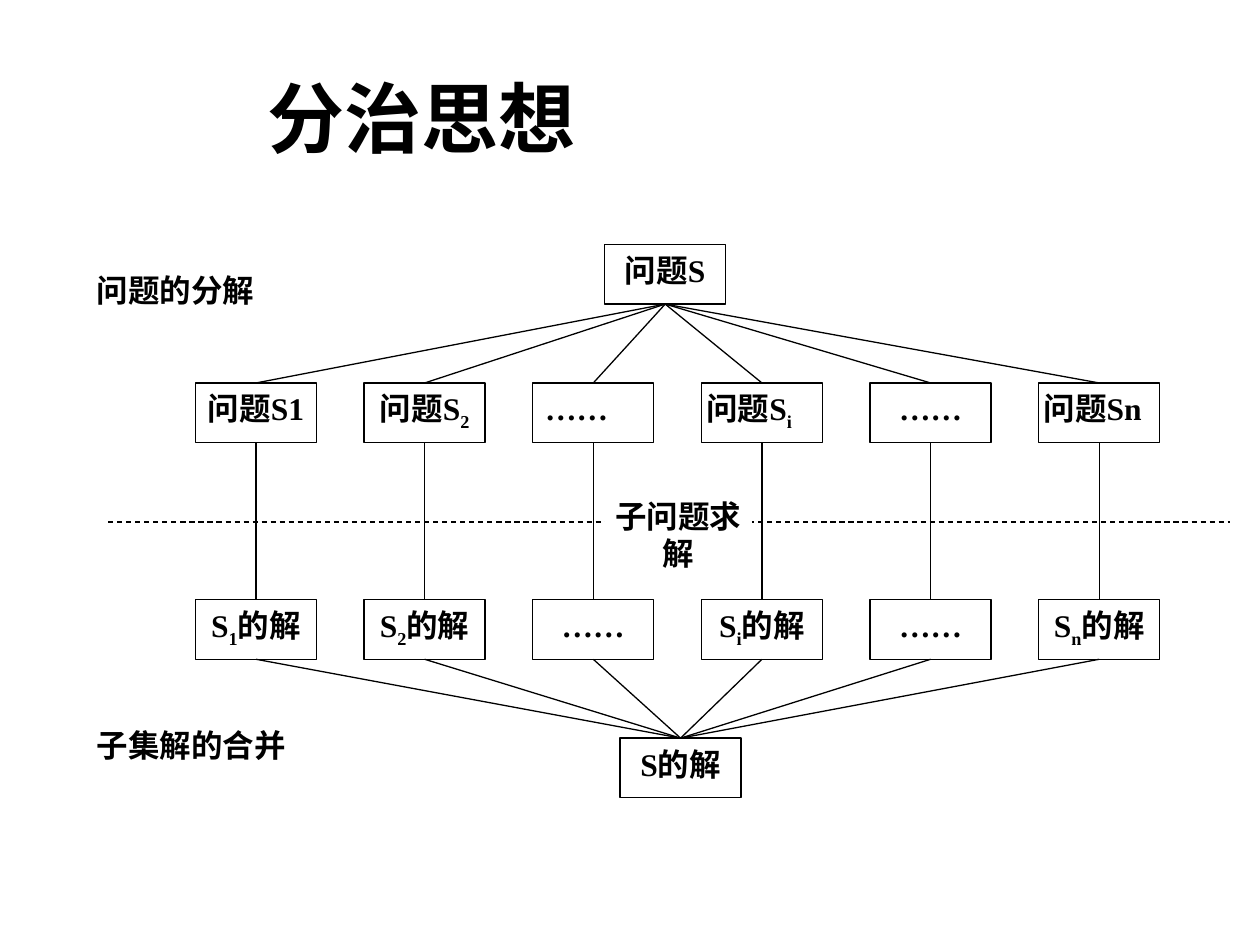
import pptx
import pptx.dml.color
import pptx.enum.dml
import pptx.enum.shapes
import pptx.enum.text
import pptx.util
import lxml.etree
from pptx.util import Cm

SHAPE = pptx.enum.shapes.MSO_SHAPE
ALIGN = pptx.enum.text.PP_ALIGN
ANCHOR = pptx.enum.text.MSO_ANCHOR
STRAIGHT = pptx.enum.shapes.MSO_CONNECTOR.STRAIGHT
TOP, BOTTOM = 0, 2
BOX_WIDTH, BOX_HEIGHT = 2.44, 1.2


def color(hex_text):
    return pptx.dml.color.RGBColor.from_string(hex_text)


def add_box(kind, left, top, width, height, pieces, align=ALIGN.CENTER,
            inset=0.1, size=18, font="Times New Roman", anchor=ANCHOR.TOP):
    """Add a white box; every second piece of its text is a subscript."""
    box = slide.shapes.add_shape(kind, Cm(left), Cm(top), Cm(width), Cm(height))
    box.shadow.inherit = False
    box.fill.solid()
    box.fill.fore_color.rgb = color("FFFFFF")
    if kind == SHAPE.FLOWCHART_PROCESS:
        box.line.color.rgb = color("000000")
        box.line.width = pptx.util.Pt(0.75)
    else:
        box.line.fill.background()
    frame_format = {"word_wrap": True, "vertical_anchor": anchor,
                    "margin_left": Cm(inset), "margin_right": Cm(inset),
                    "margin_top": Cm(0.13), "margin_bottom": Cm(0.13)}
    for name, value in frame_format.items():
        setattr(box.text_frame, name, value)
    para = box.text_frame.paragraphs[0]
    para.alignment = align
    font_format = {"name": font, "size": pptx.util.Pt(size), "bold": True}
    for index, piece in enumerate(pieces):
        span = para.add_run()
        span.text = piece
        for name, value in font_format.items():
            setattr(span.font, name, value)
        span.font.color.rgb = color("000000")
        if index % 2:
            span._r.get_or_add_rPr().set("baseline", "-25000")
    return box


deck = pptx.Presentation()
deck.slide_width, deck.slide_height = Cm(25.4), Cm(19.05)
slide = deck.slides.add_slide(deck.slide_layouts[6])

# Title
add_box(SHAPE.RECTANGLE, 1.27, 0.76, 14.48, 3.18, ["分治思想"],
        size=44, font="Arial", anchor=ANCHOR.MIDDLE)

# Whole problem and merged solution
problem = add_box(SHAPE.FLOWCHART_PROCESS, 12.19, 4.93, BOX_WIDTH, BOX_HEIGHT,
                  ["问题S"], inset=0.25)
solution = add_box(SHAPE.FLOWCHART_PROCESS, 12.5, 14.88, BOX_WIDTH, BOX_HEIGHT,
                   ["S的解"])

# Subproblems above, their solutions below
columns = [
    (["问题S1"], ALIGN.CENTER, ["S", "1", "的解"], 0.1),
    (["问题S", "2"], ALIGN.CENTER, ["S", "2", "的解"], 0.1),
    (["……"], ALIGN.JUSTIFY, ["……"], 0.25),
    (["问题S", "i"], ALIGN.JUSTIFY, ["S", "i", "的解"], 0.1),
    (["……"], ALIGN.CENTER, ["……"], 0.25),
    (["问题Sn"], ALIGN.JUSTIFY, ["S", "n", "的解"], 0.1),
]
links = []
for index, (question, align, answer, inset) in enumerate(columns):
    left = 3.94 + 3.4 * index
    subproblem = add_box(SHAPE.FLOWCHART_PROCESS, left, 7.72, BOX_WIDTH, BOX_HEIGHT,
                         question, align, inset)
    subsolution = add_box(SHAPE.FLOWCHART_PROCESS, left, 12.09, BOX_WIDTH, BOX_HEIGHT,
                          answer, inset=inset)
    links += [(problem, subproblem), (subproblem, subsolution), (subsolution, solution)]

# Dashed divider and the links between boxes
divider = slide.shapes.add_connector(STRAIGHT, Cm(2.18), Cm(10.52), Cm(24.79), Cm(10.52))
divider.line.dash_style = pptx.enum.dml.MSO_LINE.DASH
lines = [divider]
for upper, lower in links:
    link = slide.shapes.add_connector(STRAIGHT, 0, 0, 0, 0)
    link.begin_connect(upper, BOTTOM)
    link.end_connect(lower, TOP)
    lines.append(link)
for line in lines:
    line.line.color.rgb = color("000000")
    line.line.width = pptx.util.Pt(0.75)
    lxml.etree.SubElement(line._element.spPr, pptx.oxml.ns.qn("a:effectLst"))

# Stage labels
for text, left, top, width, align, inset in [
    ("问题的分解", 1.7, 5.33, 3.89, ALIGN.JUSTIFY, 0.25),
    ("子集解的合并", 1.7, 14.5, 4.37, ALIGN.JUSTIFY, 0.25),
    ("子问题求解", 12.19, 9.88, 2.97, ALIGN.CENTER, 0),
]:
    add_box(SHAPE.RECTANGLE, left, top, width, BOX_HEIGHT, [text], align, inset)

deck.save("out.pptx")
